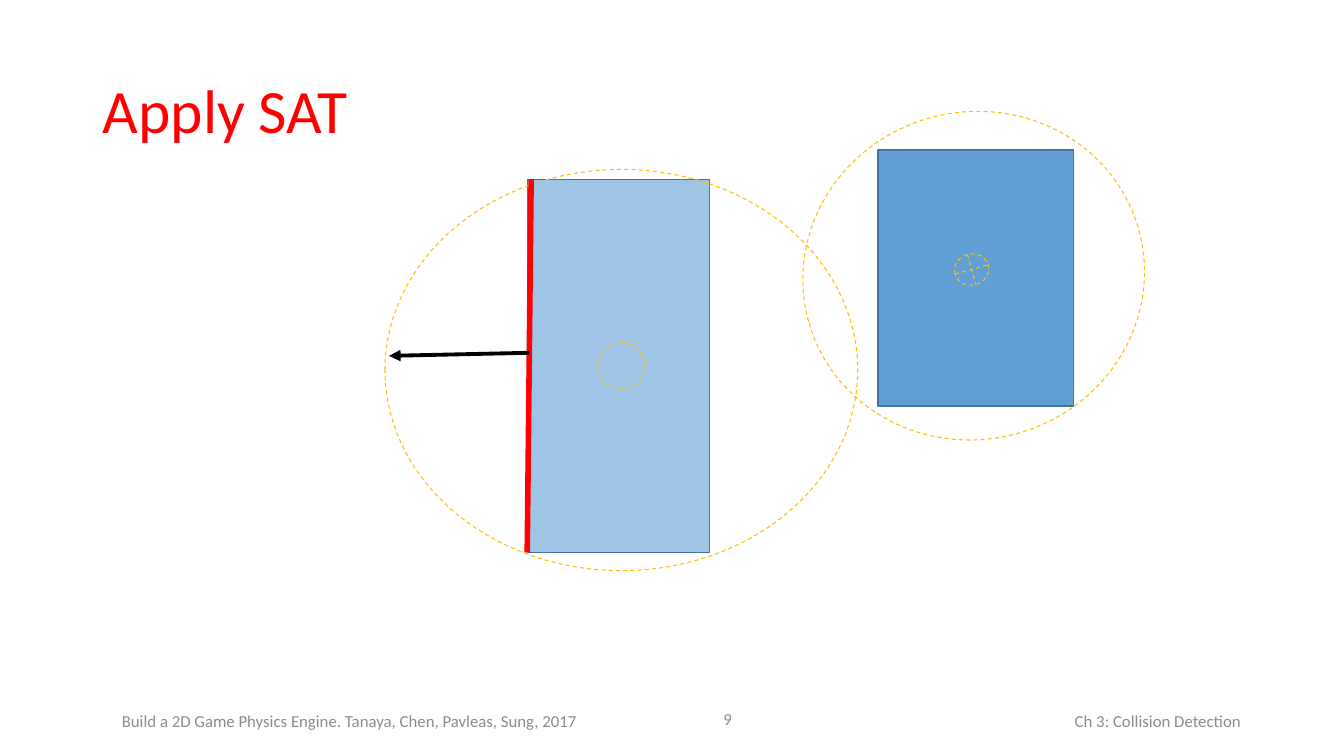
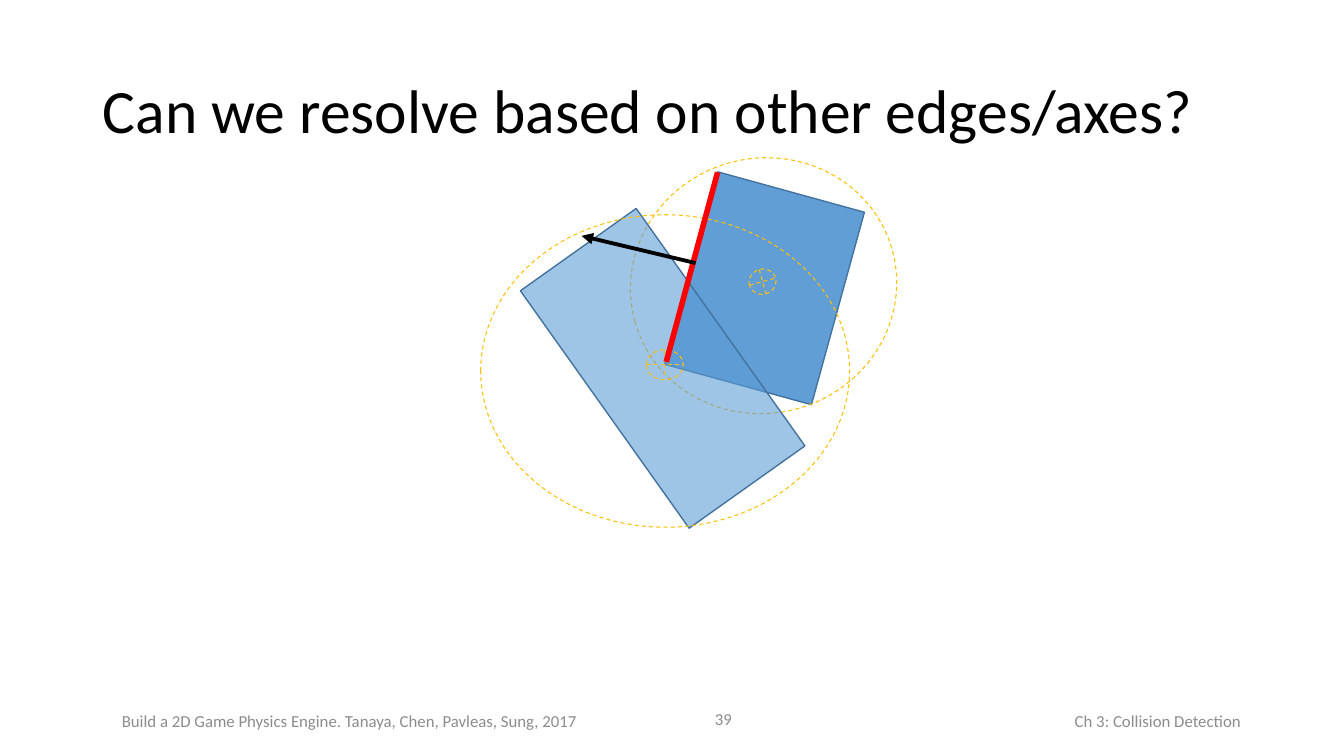
from pptx import Presentation, util as u
from pptx.dml.color import RGBColor
from pptx.enum import dml, shapes, text
from pptx.oxml.ns import qn
from lxml import etree

BLACK, RED, GREY = "000000", "FF0000", "8C8C8C"
BLUE, OUTLINE, GOLD = "5B9BD5", "43739E", "FFC000"
LEFT, RIGHT = text.PP_ALIGN.LEFT, text.PP_ALIGN.RIGHT

# Footer text boxes shared by all slides
FOOTERS = [
    ((547.2, 500.4, 346.3, 28.8), "Ch 3: Collision Detection", RIGHT),
    ((79.9, 500.4, 363.6, 28.8),
     "Build a 2D Game Physics Engine. Tanaya, Chen, Pavleas, Sung, 2017", LEFT),
]
NUMBER_BOX = (444.2, 499, 85.7, 28.8)
TITLE_BOX = (66.2, 28.8, 828, 104.4)


def points(values):
    return [u.Pt(value) for value in values]


def color(hex_string):
    return RGBColor.from_string(hex_string)


def apply(target, **values):
    for name, value in values.items():
        setattr(target, name, value)


class Deck:
    """Holds the presentation, its style and the current slide."""

    def __init__(self):
        self.presentation = Presentation()
        apply(self.presentation, slide_width=u.Pt(960), slide_height=u.Pt(540))
        self.slide = None

    def add_slide(self, title, number, title_color=BLACK):
        layout = self.presentation.slide_layouts.get_by_name("Title Only")
        self.slide = self.presentation.slides.add_slide(layout)
        shape = self.slide.shapes.title
        self.place(shape, TITLE_BOX)
        self.set_text(shape, title, 44, title_color, LEFT, 0.9)
        for box, words, align in FOOTERS + [(NUMBER_BOX, str(number), RIGHT)]:
            shape = self.slide.shapes.add_textbox(*points(box))
            self.set_text(shape, words, 12, GREY, align)

    def place(self, shape, box):
        apply(shape, **dict(zip(("left", "top", "width", "height"), points(box))))

    def set_text(self, shape, words, size, hex_color, align, spacing=1.0):
        frame = shape.text_frame
        apply(frame, word_wrap=True, auto_size=text.MSO_AUTO_SIZE.NONE,
              vertical_anchor=text.MSO_ANCHOR.MIDDLE)
        paragraph = frame.paragraphs[0]
        apply(paragraph, alignment=align, line_spacing=spacing)
        run = paragraph.add_run()
        run.text = words
        apply(run.font, name="Calibri", size=u.Pt(size))
        run.font.color.rgb = color(hex_color)

    def stroke(self, item, hex_color, width):
        item.line.color.rgb = color(hex_color)
        item.line.width = u.Pt(width)

    def shape(self, kind, box, angle, line_color, line_width):
        shape = self.slide.shapes.add_shape(kind, *points(box))
        shape.rotation = angle
        shape.shadow.inherit = False
        self.stroke(shape, line_color, line_width)
        return shape

    def rectangle(self, box, angle, opacity):
        shape = self.shape(shapes.MSO_SHAPE.RECTANGLE, box, angle, OUTLINE, 1)
        shape.fill.solid()
        shape.fill.fore_color.rgb = color(BLUE)
        fill_color = shape.element.spPr.find(qn("a:solidFill")).find(qn("a:srgbClr"))
        etree.SubElement(fill_color, qn("a:alpha"), val=str(opacity * 1000))

    def dashed(self, kind, box, angle):
        shape = self.shape(kind, box, angle, GOLD, 0.75)
        shape.fill.background()
        shape.line.dash_style = dml.MSO_LINE.DASH

    def body(self, rectangle, bound, center, opacity, angle=0, bound_angle=0):
        """A rigid box with its bounding circle and center mark."""
        self.rectangle(rectangle, angle, opacity)
        self.dashed(shapes.MSO_SHAPE.OVAL, bound, bound_angle)
        self.dashed(shapes.MSO_SHAPE.FLOWCHART_OR, center, bound_angle)

    def line(self, start, end, hex_color, width, arrow=False):
        connector = self.slide.shapes.add_connector(
            shapes.MSO_CONNECTOR.STRAIGHT, *points(start + end))
        self.stroke(connector, hex_color, width)
        properties = connector.element.spPr
        if arrow:
            etree.SubElement(properties.find(qn("a:ln")), qn("a:tailEnd"),
                             type="triangle")
        etree.SubElement(properties, qn("a:effectLst"))

    def edge_and_normal(self, edge, normal):
        self.line(*edge, RED, 4)
        self.line(*normal, BLACK, 2.75, arrow=True)


def main():
    deck = Deck()

    # Separated boxes, testing the left edge of the light one
    deck.add_slide("Apply SAT", 9, RED)
    deck.body((627.1, 107.3, 139.7, 182.9), (573.1, 79.9, 244.8, 234),
              (681.8, 181.4, 24.5, 22.3), opacity=96, bound_angle=344.4)
    deck.body((376.6, 128.2, 130.3, 266.4), (275, 121, 337.7, 286.6),
              (427, 244.8, 33.8, 33.1), opacity=59)
    deck.edge_and_normal(((376.6, 394.6), (379.4, 128.2)),
                         ((378, 252), (277.9, 254.2)))

    # Overlapping boxes, testing the left edge of the dark one
    deck.add_slide("Can we resolve based on other edges/axes?", 39)
    deck.body((491.8, 134.6, 108.7, 142.6), (450, 113, 190.8, 182.2),
              (535, 192.2, 19.4, 18), opacity=96, angle=15.4, bound_angle=344.4)
    deck.body((422.6, 159.1, 101.5, 208.1), (343.4, 153.4, 263.5, 223.2),
              (461.5, 249.8, 26.6, 21.6), opacity=59, angle=324.6)
    deck.edge_and_normal(((475.9, 258.5), (512.6, 123.1)),
                         ((496.8, 187.9), (415.4, 168.5)))

    deck.presentation.save("out.pptx")


if __name__ == "__main__":
    main()
